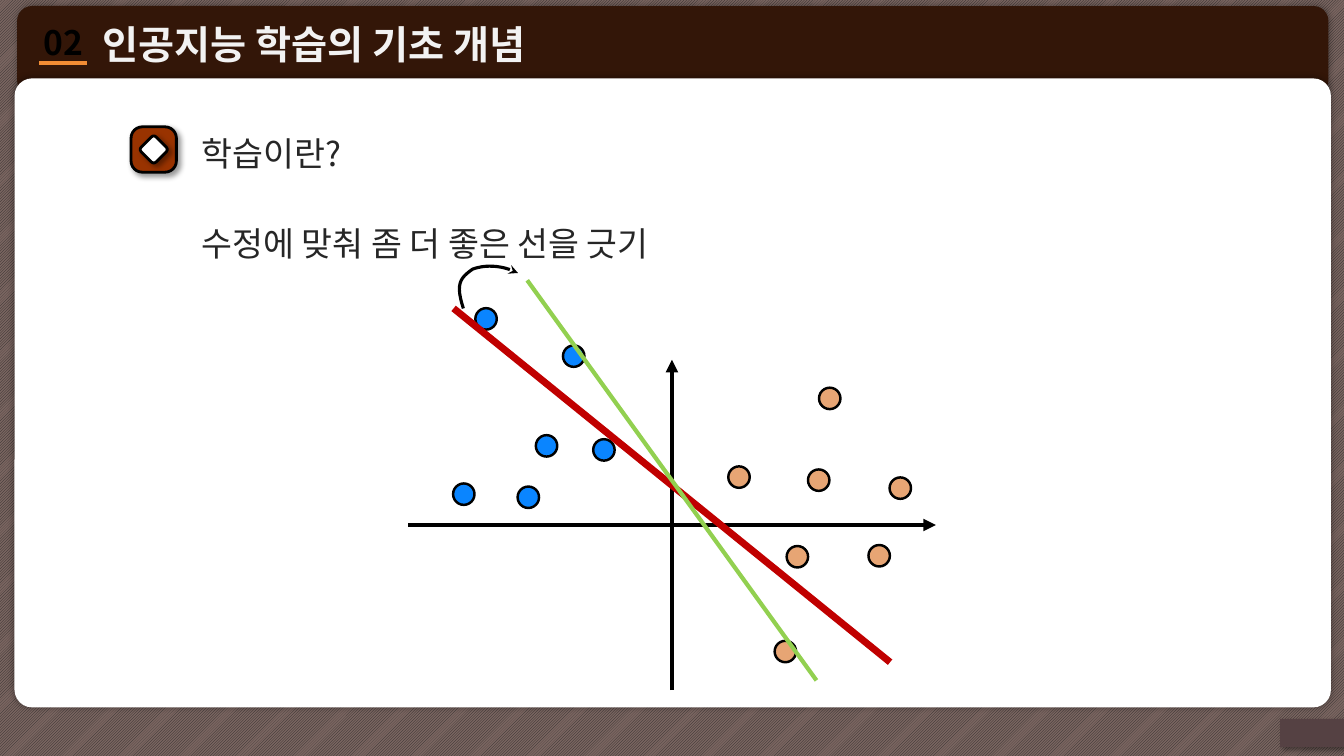
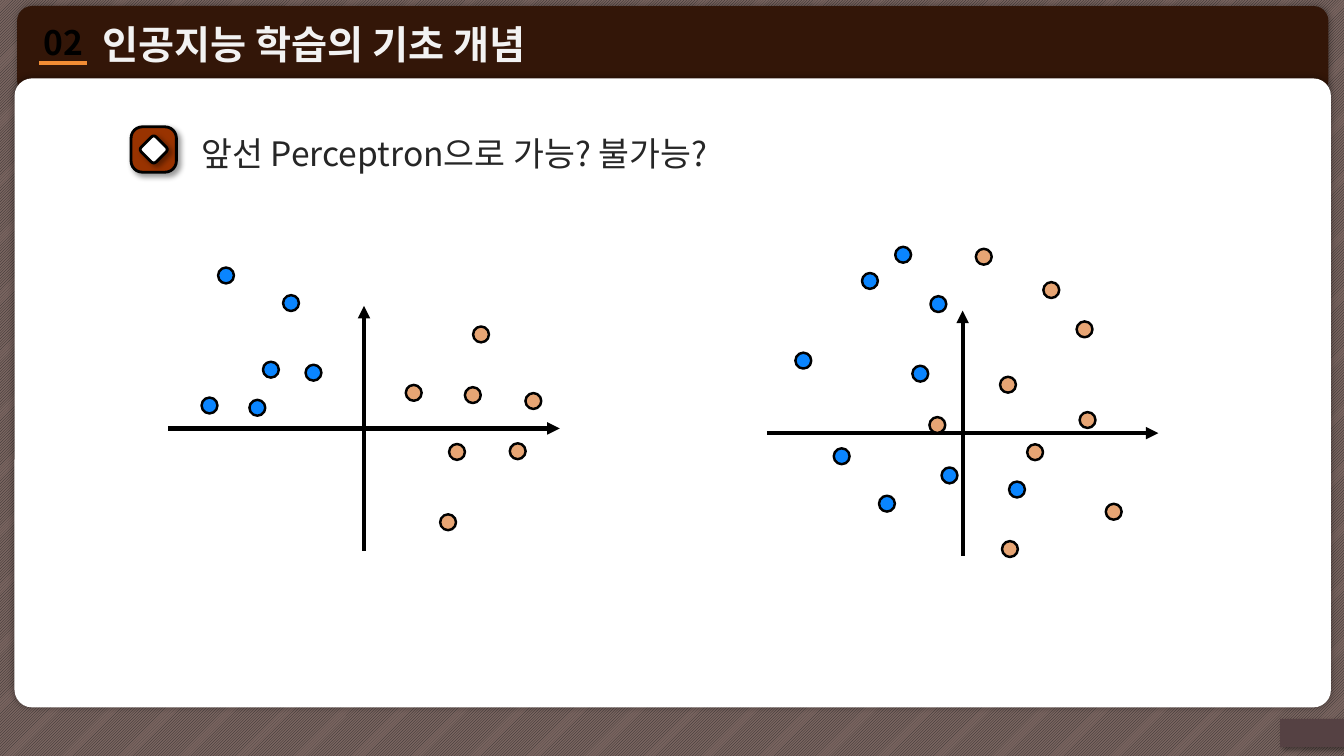
from lxml.etree import SubElement
from pptx import Presentation
from pptx.dml.color import RGBColor
from pptx.enum.dml import MSO_PATTERN as PATTERN
from pptx.enum.shapes import MSO_CONNECTOR as CONNECTOR, MSO_SHAPE as SHAPE
from pptx.enum.text import MSO_ANCHOR as ANCHOR, MSO_AUTO_SIZE as AUTO_SIZE, PP_ALIGN as ALIGN
from pptx.oxml.ns import qn
from pptx.util import Pt

FONT = "Noto Sans CJK KR"
BLACK, WHITE, DARK = "000000", "FFFFFF", "262626"
BLUE, ORANGE = "0A85FF", "E7A574"

# Text styles: values set on the font
NUMBER_STYLE = {"name": FONT, "size": Pt(24), "bold": True}
TITLE_STYLE = {"name": FONT, "size": Pt(28), "bold": True}
BODY_STYLE = {"name": FONT, "size": Pt(24), "bold": False}

# Shadows: blur, distance, direction in degrees
GLOW = (5, 0, 0)
DROP = (4, 3, 45)

# Plots: sizes and dot centres in points from the origin, at scale 1
HALF_WIDTH, HALF_HEIGHT, DOT_SIZE = 188.5, 118, 15.3
SMALL = 0.742
SEPARABLE = {
    BLUE: [(-89.6, -56.5), (-48.6, -53.6), (-70.2, -120.6),
           (-148.7, -22), (-102.6, -19.8), (-132.8, -147.2)],
    ORANGE: [(89.6, 22.7), (104.8, -32), (148, 22), (163.1, -26.3),
             (112.7, -90.4), (47.9, -34.2), (81, 90.4)],
}
MIXED = {
    BLUE: [(-23.3, -124.2), (-116.4, 22.3), (-57.2, -171.7),
           (-153.3, -69.8), (-40.7, -57.2), (-89.2, -146.5),
           (-72.8, 67.9), (-12.6, 40.7), (52.4, 54.3)],
    ORANGE: [(120.3, -12.6), (43.7, -46.6), (145.5, 75.7),
             (117.4, -99.9), (85.4, -137.7), (-24.3, -7.8),
             (45.6, 111.6), (20.4, -169.8), (69.8, 18.4)],
}


def rgb(color):
    return RGBColor.from_string(color)


def points(*values):
    return [Pt(value) for value in values]


# Lines and effects
def set_line(shape, color, width, arrow=None):
    shape.line.color.rgb = rgb(color)
    shape.line.width = Pt(width)
    if arrow:
        SubElement(shape.element.spPr.find(qn("a:ln")), qn("a:tailEnd"), type=arrow)


def add_shadow(shape, blur, distance, direction):
    effects = shape.element.spPr.find(qn("a:effectLst"))
    shadow = SubElement(effects, qn("a:outerShdw"), blurRad=str(Pt(blur)),
                        dist=str(Pt(distance)), dir=str(direction * 60000),
                        algn="ctr", rotWithShape="0")
    color = SubElement(shadow, qn("a:srgbClr"), val=BLACK)
    SubElement(color, qn("a:alpha"), val="40000")


# Basic elements
def add_block(shapes, kind, place, fill, line=None, corner=None, shadow=None):
    block = shapes.add_shape(kind, *points(*place))
    block.shadow.inherit = False
    block.fill.solid()
    block.fill.fore_color.rgb = rgb(fill)
    if line:
        set_line(block, BLACK, line)
    else:
        block.line.fill.background()
    if corner is not None:
        block.adjustments[0] = corner
    if shadow:
        add_shadow(block, *shadow)
    return block


def add_line(shapes, start, end, color, width, arrow=None):
    line = shapes.add_connector(CONNECTOR.STRAIGHT, *points(*start, *end))
    set_line(line, color, width, arrow)
    SubElement(line.element.spPr, qn("a:effectLst"))


def add_text(page, place, text, style, color, outline=None, inset=5,
             wrap=True, anchor=ANCHOR.MIDDLE, align=ALIGN.LEFT, spacing=None):
    box = page.shapes.add_textbox(*points(*place))
    frame_format = {"word_wrap": wrap, "vertical_anchor": anchor,
                    "auto_size": AUTO_SIZE.SHAPE_TO_FIT_TEXT}
    if inset is not None:
        for side in ("left", "top", "right", "bottom"):
            frame_format[f"margin_{side}"] = Pt(inset)
    for name, value in frame_format.items():
        setattr(box.text_frame, name, value)
    para = box.text_frame.paragraphs[0]
    para.alignment = align
    para.line_spacing = spacing
    span = para.add_run()
    span.text = text
    props = span.font._element
    if outline:
        line = SubElement(props, qn("a:ln"), w=str(Pt(1)))
        SubElement(SubElement(line, qn("a:solidFill")), qn("a:srgbClr"), val=outline)
    span.font.color.rgb = rgb(color)
    for name, value in style.items():
        setattr(span.font, name, value)
    SubElement(props, qn("a:ea"), typeface=FONT)


# Parts shared by all slides
def add_page(deck, question):
    page = deck.slides.add_slide(deck.slide_layouts[6])
    shapes = page.shapes

    # Backdrop, title band, white panel and corner tab
    backdrop = add_block(shapes, SHAPE.RECTANGLE, (-1.5, -6.5, 963.5, 552.5), WHITE)
    backdrop.fill.patterned()
    backdrop.fill.pattern = PATTERN.LIGHT_UPWARD_DIAGONAL
    backdrop.fill.fore_color.rgb = rgb(DARK)
    backdrop.fill.back_color.rgb = rgb("7A6560")
    for place, fill, corner, shadow in (
            ((12.2, 4.3, 936.7, 63.4), "331608", 0.168, GLOW),
            ((10.4, 56, 940.3, 449.3), WHITE, 0.028, GLOW),
            ((914.4, 513.4, 47.5, 20.2), "554143", 0, DROP)):
        add_block(shapes, SHAPE.ROUNDED_RECTANGLE, place, fill,
                  corner=corner, shadow=shadow)

    # Section number and title
    add_line(shapes, (28, 45), (62, 45), "F28C34", 3)
    add_text(page, (22.3, 12.2, 46, 36), "02", NUMBER_STYLE, BLACK, outline=WHITE,
             inset=None, wrap=False, anchor=ANCHOR.TOP, align=ALIGN.CENTER)
    add_text(page, (68.4, 10, 619, 43.2), "인공지능 학습의 기초 개념",
             TITLE_STYLE, "F2F2F2", outline=DARK)

    # Question with its icon
    add_text(page, (139, 90, 585.4, 38.9), question, BODY_STYLE, DARK)
    icon = shapes.add_group_shape().shapes
    add_block(icon, SHAPE.ROUNDED_RECTANGLE, (93.6, 90.6, 32.4, 32.4), "993300",
              line=2, corner=0.249, shadow=DROP)
    diamond = add_block(icon, SHAPE.ROUNDED_RECTANGLE, (102.3, 99.3, 15, 15), WHITE,
                        line=2, corner=0.153, shadow=DROP)
    diamond.rotation = 45
    return page


# Axes with two classes of dots
def add_plot(page, origin, dots, scale=1):
    shapes = page.shapes.add_group_shape().shapes
    x, y = origin
    width, height, size = (scale * n for n in (HALF_WIDTH, HALF_HEIGHT, DOT_SIZE))
    add_line(shapes, (x - width, y), (x + width, y), BLACK, 3, "triangle")
    add_line(shapes, (x, y + height), (x, y - height), BLACK, 3, "triangle")
    for color, centres in dots.items():
        for dx, dy in centres:
            place = (x + dx * scale - size / 2, y + dy * scale - size / 2, size, size)
            add_block(shapes, SHAPE.OVAL, place, color, line=1.75)


# Open curve through cubic Bézier pieces, ending in an arrowhead
def add_curved_arrow(page, start, pieces, steps=12):
    builder = page.shapes.build_freeform(*points(*start))
    vertices = []
    for first, second, end in pieces:
        for step in range(1, steps + 1):
            t = step / steps
            u = 1 - t
            vertices.append(points(*(
                u**3 * a + 3 * u * u * t * b + 3 * u * t * t * c + t**3 * d
                for a, b, c, d in zip(start, first, second, end))))
        start = end
    builder.add_line_segments(vertices, close=False)
    curve = builder.convert_to_shape()
    curve.shadow.inherit = False
    curve.fill.background()
    set_line(curve, BLACK, 2.25, "stealth")


def main():
    deck = Presentation()
    deck.slide_width, deck.slide_height = points(960, 540)

    # Slide 1: turning the line to a better fit
    page = add_page(deck, "학습이란?")
    add_curved_arrow(page, (331, 220.3), [
        ((325.4, 203), (328.3, 198.7), (337.7, 192.2)),
        ((345.6, 189.4), (357.1, 188.6), (370, 195))])
    add_text(page, (139, 139.7, 710, 53.3), "수정에 맞춰 좀 더 좋은 선을 긋기",
             BODY_STYLE, DARK, anchor=ANCHOR.TOP, spacing=1.5)
    add_plot(page, (480, 375), SEPARABLE)
    add_line(page.shapes, (324, 220.3), (635.8, 473), "C00000", 5)
    add_line(page.shapes, (376.6, 200.2), (583.2, 486), "92D050", 3)

    # Slide 2: separable and mixed classes
    page = add_page(deck, "앞선 Perceptron으로 가능? 불가능?")
    add_plot(page, (260, 306), SEPARABLE, SMALL)
    add_plot(page, (687.6, 309.4), MIXED, SMALL)

    deck.save("out.pptx")


if __name__ == "__main__":
    main()
